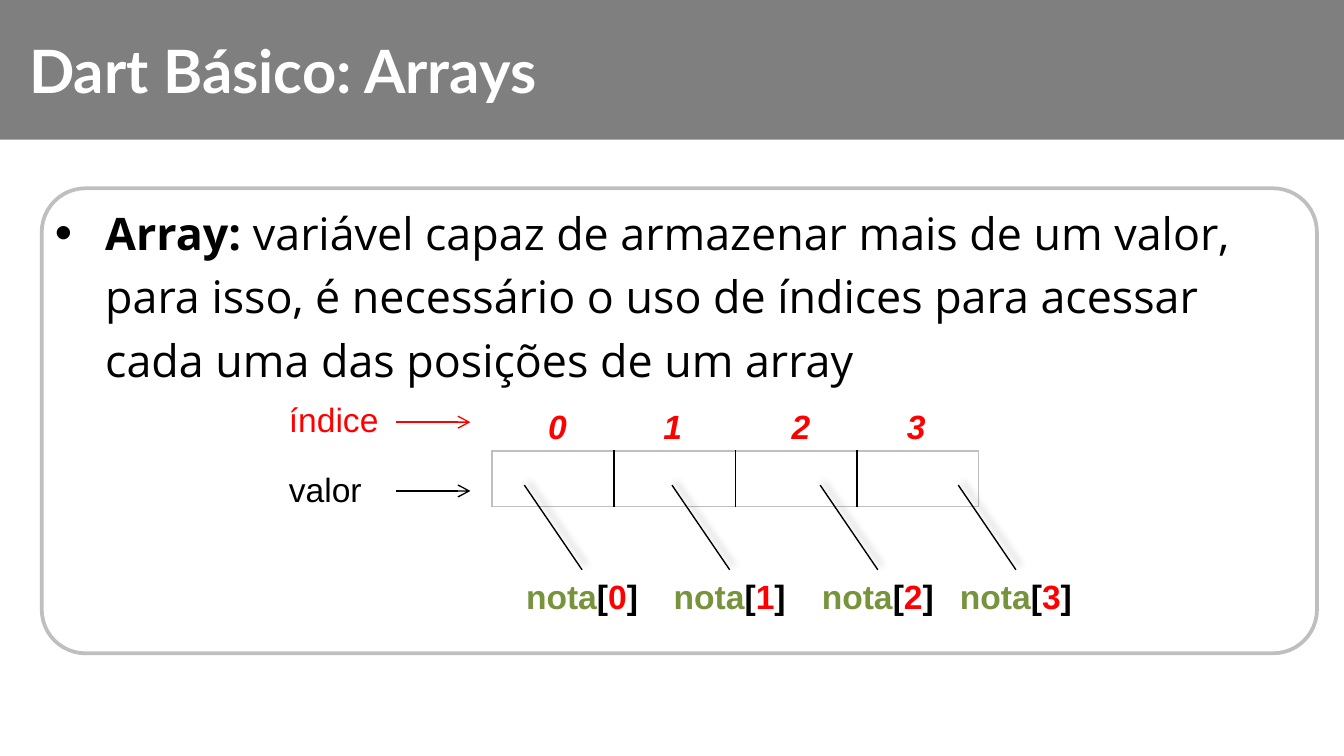
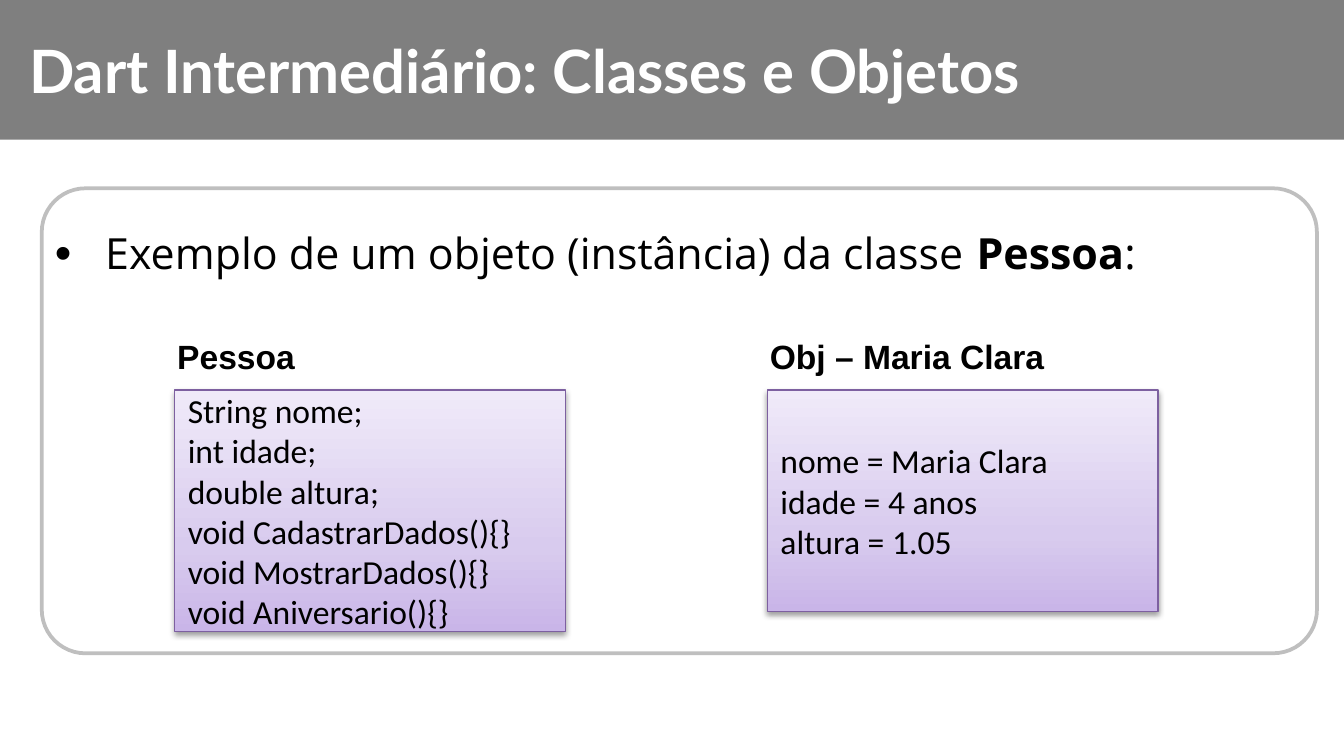
from lxml import etree
from pptx import Presentation
from pptx import util as u
from pptx.dml.color import RGBColor
from pptx.enum import shapes, text
from pptx.oxml import parse_xml
from pptx.oxml.ns import nsdecls, qn

Cm, Pt = u.Cm, u.Pt

# Colours
GREY = RGBColor(0x7F, 0x7F, 0x7F)
SILVER = RGBColor(0xBF, 0xBF, 0xBF)
WHITE = RGBColor(0xFF, 0xFF, 0xFF)
BLACK = RGBColor(0, 0, 0)
RED = RGBColor(0xFF, 0, 0)
GREEN = RGBColor(0x77, 0x93, 0x3C)
PURPLE = RGBColor(0x7D, 0x60, 0xA0)
LILAC = ((0, "C9B5E8"), (35, "D8CBEE"), (100, "F0EAF9"))

# Text formats
TITLE = dict(name="Lato", size=Pt(32), bold=True, color=WHITE)
BODY = dict(name="Open Sans", size=Pt(24), bold=False, color=BLACK)
LABEL = dict(name="Arial", size=Pt(18), bold=False, color=BLACK)
STRONG = {**LABEL, "bold": True}
INDEX = {**STRONG, "italic": True, "color": RED}
CODE = {**LABEL, "name": "Calibri"}
BULLET = dict(line_spacing=Pt(34), space_before=Pt(3), space_after=Pt(8))

# Shadows: opacity %, blur pt, distance pt, direction in degrees
SOFT = (40, 4, 3, 315)
DROP = (38, 3.1, 1.6, 90)


class Deck:
    def __init__(self):
        self.prs = Presentation()
        self.prs.slide_width, self.prs.slide_height = Cm(25.4), Cm(14.29)
        self.slide = None

    def start(self, title, body, top, high):
        """New slide with band, bulleted body, title and card."""
        self.slide = self.prs.slides.add_slide(self.prs.slide_layouts[6])
        self.block(0, 0, 25.4, 2.64, fill=GREY)
        self.bullet(body, top, high)
        self.label(title, 0.3, 0.51, 20.8, 1.63, TITLE)
        card = self.block(0.79, 3.56, 24.1, 8.79, edge=SILVER, width=2,
                          kind=shapes.MSO_SHAPE.ROUNDED_RECTANGLE)
        card.adjustments[0] = 0.094

    def put_runs(self, para, runs):
        for words, style in runs:
            run = para.add_run()
            run.text = words
            for key, value in style.items():
                if key == "color":
                    run.font.color.rgb = value
                else:
                    setattr(run.font, key, value)

    def label(self, runs, x, y, w, h, style=LABEL, align=None):
        """Text box; runs is a string or a list of (words, style)."""
        if isinstance(runs, str):
            runs = [(runs, style)]
        box = self.slide.shapes.add_textbox(Cm(x), Cm(y), Cm(w), Cm(h))
        frame = box.text_frame
        frame.word_wrap = True
        frame.auto_size = text.MSO_AUTO_SIZE.SHAPE_TO_FIT_TEXT
        para = frame.paragraphs[0]
        para.alignment = align
        self.put_runs(para, runs)
        return para

    def bullet(self, runs, top, high):
        para = self.label(runs, 0.79, top, 24.1, high)
        for key, value in BULLET.items():
            setattr(para, key, value)
        props = para._p.get_or_add_pPr()
        props.set("marL", str(Cm(0.95)))
        props.set("indent", str(-Cm(0.95)))
        for tag, key, value in (("buSzPct", "val", "110000"),
                                ("buFont", "typeface", "Arial"),
                                ("buChar", "char", "•")):
            etree.SubElement(props, qn("a:" + tag)).set(key, value)

    def shade(self, shape, shadow=None):
        """Replace the theme shadow by the given one, or by none."""
        props = shape._element.spPr
        effects = etree.SubElement(props, qn("a:effectLst"))
        if shadow:
            alpha, blur, dist, angle = shadow
            effects.append(parse_xml(
                f'<a:outerShdw {nsdecls("a")} blurRad="{Pt(blur)}" '
                f'dist="{Pt(dist)}" dir="{angle * 60000}" rotWithShape="0">'
                f'<a:srgbClr val="000000"><a:alpha val="{alpha * 1000}"/>'
                '</a:srgbClr></a:outerShdw>'))

    def block(self, x, y, w, h, fill=None, edge=None, width=0.75,
              kind=shapes.MSO_SHAPE.RECTANGLE, shadow=None):
        shape = self.slide.shapes.add_shape(kind, Cm(x), Cm(y), Cm(w), Cm(h))
        if fill:
            shape.fill.solid()
            shape.fill.fore_color.rgb = fill
        else:
            shape.fill.background()
        if edge:
            shape.line.color.rgb = edge
            shape.line.width = Pt(width)
        else:
            shape.line.fill.background()
        self.shade(shape, shadow)
        return shape

    def panel(self, name, lines, x, h):
        """Gradient box of code lines with its name above."""
        shape = self.block(x, 7.37, 7.39, h, edge=PURPLE, shadow=DROP)
        stops = "".join(f'<a:gs pos="{pos * 1000}"><a:srgbClr val="{tone}"/></a:gs>'
                        for pos, tone in LILAC)
        props = shape._element.spPr
        props.replace(props.find(qn("a:noFill")), parse_xml(
            f'<a:gradFill {nsdecls("a")} rotWithShape="1"><a:gsLst>{stops}</a:gsLst>'
            '<a:lin ang="16200000" scaled="0"/></a:gradFill>'))
        frame = shape.text_frame
        frame.word_wrap = True
        frame.vertical_anchor = text.MSO_ANCHOR.MIDDLE
        for i, line in enumerate(lines):
            para = frame.add_paragraph() if i else frame.paragraphs[0]
            para.alignment = text.PP_ALIGN.LEFT
            self.put_runs(para, [(line, CODE)])
        self.label(name, x - 0.2, 6.22, 5.79, 1.02, STRONG)

    def line(self, x1, y1, x2, y2, tone=BLACK, arrow=False, shadow=None):
        link = self.slide.shapes.add_connector(
            shapes.MSO_CONNECTOR.STRAIGHT, Cm(x1), Cm(y1), Cm(x2), Cm(y2))
        link.line.color.rgb = tone
        link.line.width = Pt(0.75)
        if arrow:
            stroke = link._element.spPr.find(qn("a:ln"))
            etree.SubElement(stroke, qn("a:tailEnd")).set("type", "arrow")
        self.shade(link, shadow)

    def cells(self, x, y, count, w, h):
        """Row of empty cells, silver outside and black between."""
        table = self.slide.shapes.add_table(
            1, count, Cm(x), Cm(y), Cm(count * w), Cm(h)).table
        table.first_row = table.horz_banding = False
        table.rows[0].height = Cm(h)
        for i, cell in enumerate(table.rows[0].cells):
            table.columns[i].width = Cm(w)
            cell.fill.background()
            tones = dict(L=BLACK if i else SILVER,
                         R=BLACK if i < count - 1 else SILVER,
                         T=SILVER, B=SILVER)
            props = cell._tc.get_or_add_tcPr()
            for spot, (side, tone) in enumerate(tones.items()):
                props.insert(spot, parse_xml(
                    f'<a:ln{side} {nsdecls("a")} w="{Pt(1)}"><a:solidFill>'
                    f'<a:srgbClr val="{tone}"/></a:solidFill></a:ln{side}>'))


deck = Deck()

# Slide 1: arrays
deck.start("Dart Básico: Arrays", [
    ("Array: ", {**BODY, "bold": True}),
    ("variável capaz de armazenar mais de um valor, para isso, é necessário "
     "o uso de índices para acessar cada uma das posições de um array", BODY),
], 3.58, 3.76)
deck.cells(9.3, 8.53, 4, 2.3, 1.04)
for i, x in enumerate((10.11, 12.29, 14.71, 16.89)):
    deck.label(str(i), x, 7.54, 1, 1.02, INDEX)

# Row names with arrows
for name, y, level, tone in (("índice", 7.42, 7.98, RED),
                             ("valor", 8.74, 9.28, BLACK)):
    deck.label(name, 5.21, y, 3.2, 1.02, {**LABEL, "color": tone})
    deck.line(7.49, level, 8.89, level, tone, arrow=True)

# Element names with leader lines
for i, x in enumerate((9.5, 12.29, 15.09, 17.7)):
    parts = (("nota", GREEN), ("[", BLACK), (str(i), RED), ("]", BLACK))
    deck.label([(word, {**STRONG, "color": tone}) for word, tone in parts],
               x, 10.77, 3, 1.02, align=text.PP_ALIGN.CENTER)
    deck.line(x + 0.41, 9.17, x + 1.5, 10.77, shadow=SOFT)

# Slide 2: classes and objects
plain = {**BODY, "size": Pt(23)}
deck.start("Dart Intermediário: Classes e Objetos", [
    ("Exemplo de um objeto (instância) da classe ", plain),
    ("Pessoa", {**plain, "bold": True}),
    (":", plain),
], 3.94, 1.35)
deck.panel("Pessoa", (
    "String nome;", "int idade;", "double altura;", "void CadastrarDados(){}",
    "void MostrarDados(){}", "void Aniversario(){}"), 3.3, 4.57)
deck.panel("Obj – Maria Clara", (
    "nome = Maria Clara", "idade = 4 anos", "altura = 1.05"), 14.5, 4.19)

deck.prs.save("out.pptx")
